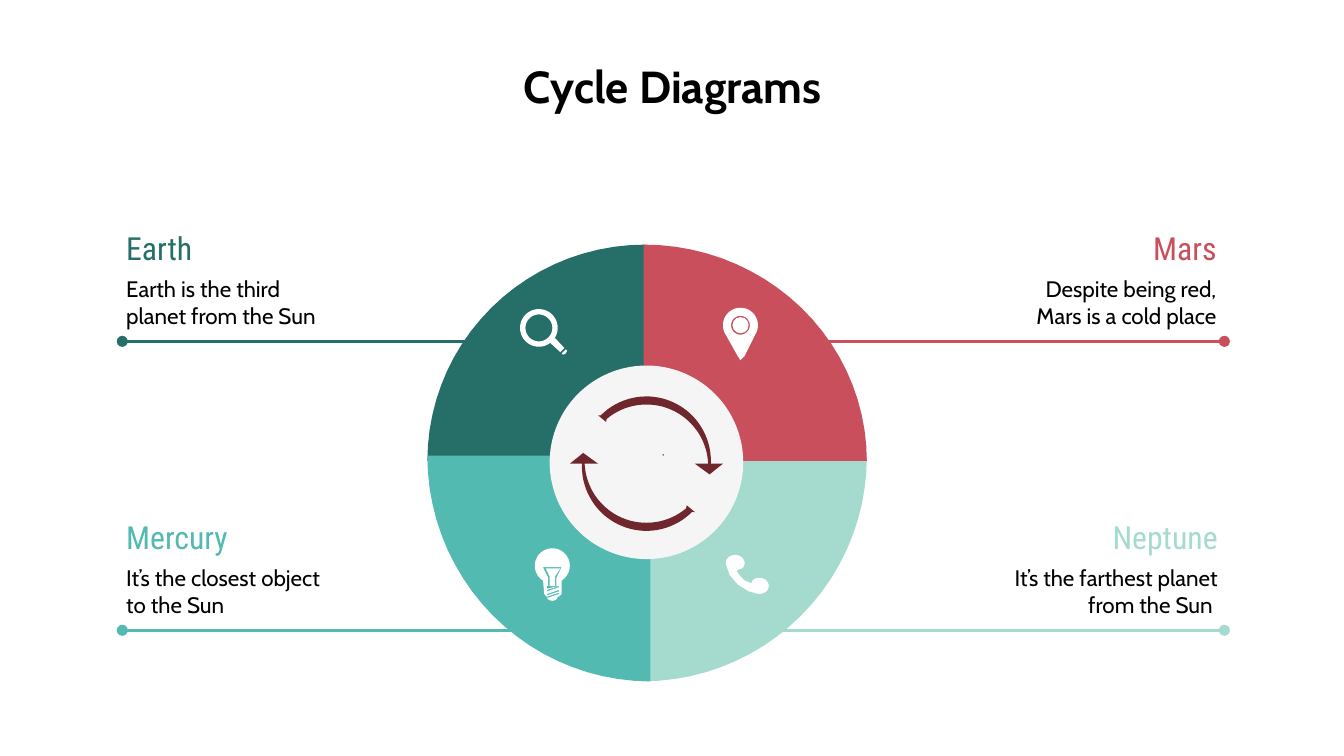
import math

from lxml import etree
from pptx import Presentation
from pptx import util as u
from pptx.dml.color import RGBColor
from pptx.enum import shapes, text
from pptx.oxml.ns import qn

COLOURS = {
    "earth": "256F68",
    "mars": "C84F5B",
    "mercury": "52BAB0",
    "neptune": "A5DACF",
    "hub": "F5F5F5",
    "speck": "737373",
    "arrow": "6F262D",
    "icon": "FFFFFF",
    "ink": "000000",
}
LEFT, CENTER, RIGHT = text.PP_ALIGN.LEFT, text.PP_ALIGN.CENTER, text.PP_ALIGN.RIGHT
OVAL, RECTANGLE = shapes.MSO_SHAPE.OVAL, shapes.MSO_SHAPE.RECTANGLE


def arc(x, y, rx, ry, start, end):
    steps = max(6, round(abs(end - start) / 4))
    angles = [math.radians(start + (end - start) * i / steps) for i in range(steps + 1)]
    return [(x + rx * math.cos(a), y + ry * math.sin(a)) for a in angles]


def circle(x, y, radius):
    return arc(x, y, radius, radius, 0, 360)


class CycleSlide:
    """Holds the fonts, colours and current slide, and draws each kind of element."""

    body_font = "Cabin"
    heading_font = "Roboto Condensed"

    def __init__(self, presentation):
        self.slide = presentation.slides.add_slide(presentation.slide_layouts[6])

    def colour(self, name):
        return RGBColor.from_string(COLOURS[name])

    def paint(self, shape, name):
        shape.shadow.inherit = False
        shape.fill.solid()
        shape.fill.fore_color.rgb = self.colour(name)
        shape.line.fill.background()

    def preset(self, kind, name, x, y, size):
        box = [u.Inches(v) for v in (x, y, size, size)]
        self.paint(self.slide.shapes.add_shape(kind, *box), name)

    def outline(self, name, *contours):
        scaled = [[(u.Inches(x), u.Inches(y)) for x, y in c] for c in contours]
        builder = self.slide.shapes.build_freeform(*scaled[0][0])
        builder.add_line_segments(scaled[0][1:], close=True)
        for contour in scaled[1:]:
            builder.move_to(*contour[0])
            builder.add_line_segments(contour[1:], close=True)
        self.paint(builder.convert_to_shape(), name)

    def label(self, lines, box, size, name="ink", font=body_font, align=LEFT,
              anchor=text.MSO_ANCHOR.MIDDLE, bold=False):
        frame = self.slide.shapes.add_textbox(*[u.Inches(v) for v in box]).text_frame
        frame.word_wrap = True
        frame.vertical_anchor = anchor
        frame.margin_left = frame.margin_right = u.Inches(0.1)
        frame.margin_top = frame.margin_bottom = u.Inches(0.1)
        paragraph = frame.paragraphs[0]
        paragraph.alignment = align
        for i, line in enumerate(lines):
            if i:
                paragraph.add_line_break()
            run = paragraph.add_run()
            run.text = line
            run.font.name = font
            run.font.size = u.Pt(size)
            run.font.bold = bold
            run.font.color.rgb = self.colour(name)

    def leader(self, name, start, end, y):
        ends = [u.Inches(v) for v in (start, y, end, y)]
        line = self.slide.shapes.add_connector(shapes.MSO_CONNECTOR.STRAIGHT, *ends)
        line.line.color.rgb = self.colour(name)
        line.line.width = u.Pt(1.5)
        etree.SubElement(line._element.spPr.find(qn("a:ln")), qn("a:headEnd"), type="oval")
        etree.SubElement(line._element.spPr, qn("a:effectLst"))

    def sector(self, name, x, y, rx, ry, start):
        self.outline(name, [(x, y)] + arc(x, y, rx, ry, start, start + 90))

    def planet(self, name, lines, x, y, align):
        self.label([name.title()], (x, y, 1.75, 0.47), 17, name, self.heading_font, align)
        self.label(lines, (x, y + 0.35, 1.75, 0.58), 12, align=align)

    def magnifier(self):
        rim = arc(4.01, 2.44, 0.14, 0.14, 53, 392)
        self.outline("icon", rim + [(4.2, 2.59), (4.17, 2.62)], circle(4.01, 2.44, 0.1))
        self.outline("icon", [(4.21, 2.6), (4.18, 2.63), (4.19, 2.64), (4.21, 2.63), (4.22, 2.61)])

    def pin(self):
        head = arc(5.51, 2.42, 0.13, 0.13, 150, 390)
        tip = [(5.54, 2.65), (5.51, 2.68), (5.49, 2.65)]
        self.outline("icon", head + tip, circle(5.51, 2.42, 0.07))
        self.preset(OVAL, "icon", 5.45, 2.36, 0.12)

    def bulb(self):
        glass = arc(4.11, 4.21, 0.13, 0.13, 122, 418)
        base = [(4.18, 4.42), (4.16, 4.44)] + arc(4.11, 4.44, 0.04, 0.03, 0, 180) + [(4.05, 4.42)]
        filament = [(4.04, 4.22), (4.18, 4.22), (4.14, 4.3), (4.14, 4.36), (4.16, 4.36),
                    (4.07, 4.38), (4.07, 4.36), (4.08, 4.36), (4.08, 4.3)]
        threads = [[(4.16, y), (4.16, y + 0.01), (4.07, y + 0.04), (4.07, y + 0.03)]
                   for y in (4.36, 4.39, 4.41)]
        self.outline("icon", glass + base, filament, *threads)
        self.outline("icon", [(4.06, 4.23), (4.09, 4.29), (4.09, 4.36), (4.13, 4.36),
                              (4.13, 4.29), (4.17, 4.23)])

    def phone(self):
        earpiece = arc(5.47, 4.19, 0.07, 0.06, 170, 400)
        inside = [(5.49, 4.24), (5.48, 4.25), (5.51, 4.29), (5.54, 4.32), (5.59, 4.34)]
        mouthpiece = arc(5.65, 4.36, 0.07, 0.06, 225, 460)
        back = [(5.57, 4.4), (5.49, 4.35), (5.43, 4.28)]
        self.outline("icon", earpiece + inside + mouthpiece + back)

    def arrows(self):
        head = [(5.29, 3.45), (5.38, 3.45), (5.28, 3.53), (5.17, 3.45), (5.27, 3.45)]
        upper = ([(4.45, 3.09)] + arc(4.81, 3.43, 0.48, 0.48, 225, 360) + head
                 + arc(4.81, 3.47, 0.46, 0.46, 357, 230) + [(4.51, 3.14)])
        self.outline("arrow", upper)
        self.outline("arrow", [(9.62 - x, 6.9 - y) for x, y in upper])


def main():
    presentation = Presentation()
    presentation.slide_width = u.Inches(10)
    presentation.slide_height = u.Inches(10 * 9 / 16)
    cycle = CycleSlide(presentation)

    cycle.sector("neptune", 4.78, 3.4, 1.67, 1.67, 0)
    cycle.label(["Cycle Diagrams"], (0.2, 0.34, 9.61, 0.63), 24, align=CENTER,
                anchor=text.MSO_ANCHOR.TOP, bold=True)
    cycle.sector("earth", 4.8, 3.43, 1.62, 1.61, 180)
    cycle.sector("mercury", 4.84, 3.39, 1.66, 1.68, 90)
    cycle.sector("mars", 4.79, 3.43, 1.66, 1.61, 270)
    cycle.preset(OVAL, "hub", 4.09, 2.72, 1.44)
    cycle.preset(RECTANGLE, "speck", 4.93, 3.38, 0.01)

    cycle.pin()
    cycle.magnifier()
    cycle.bulb()
    cycle.phone()

    planets = [
        ("earth", ["Earth is the third planet from the Sun"], 0.84, 1.61, LEFT, 0.91, 3.49),
        ("mercury", ["It’s the closest object to the Sun"], 0.84, 3.76, LEFT, 0.91, 4.15),
        ("mars", ["Despite being red,", "Mars is a cold place"], 7.4, 1.61, RIGHT, 9.11, 6.15),
        ("neptune", ["It’s the farthest planet from the Sun "], 7.41, 3.76, RIGHT, 9.11, 5.72),
    ]
    for name, lines, x, y, align, start, end in planets:
        cycle.planet(name, lines, x, y, align)
        cycle.leader(name, start, end, y + 0.93)

    cycle.arrows()
    presentation.save("out.pptx")


if __name__ == "__main__":
    main()
